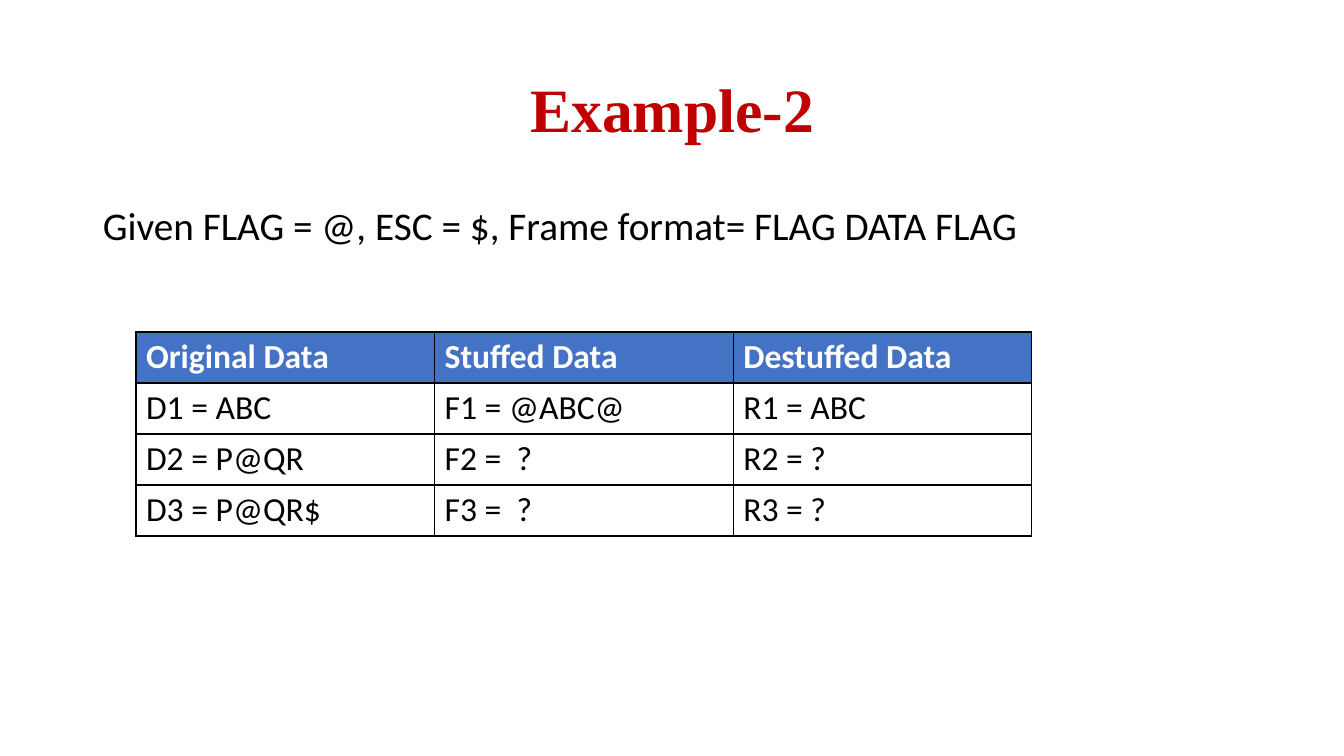
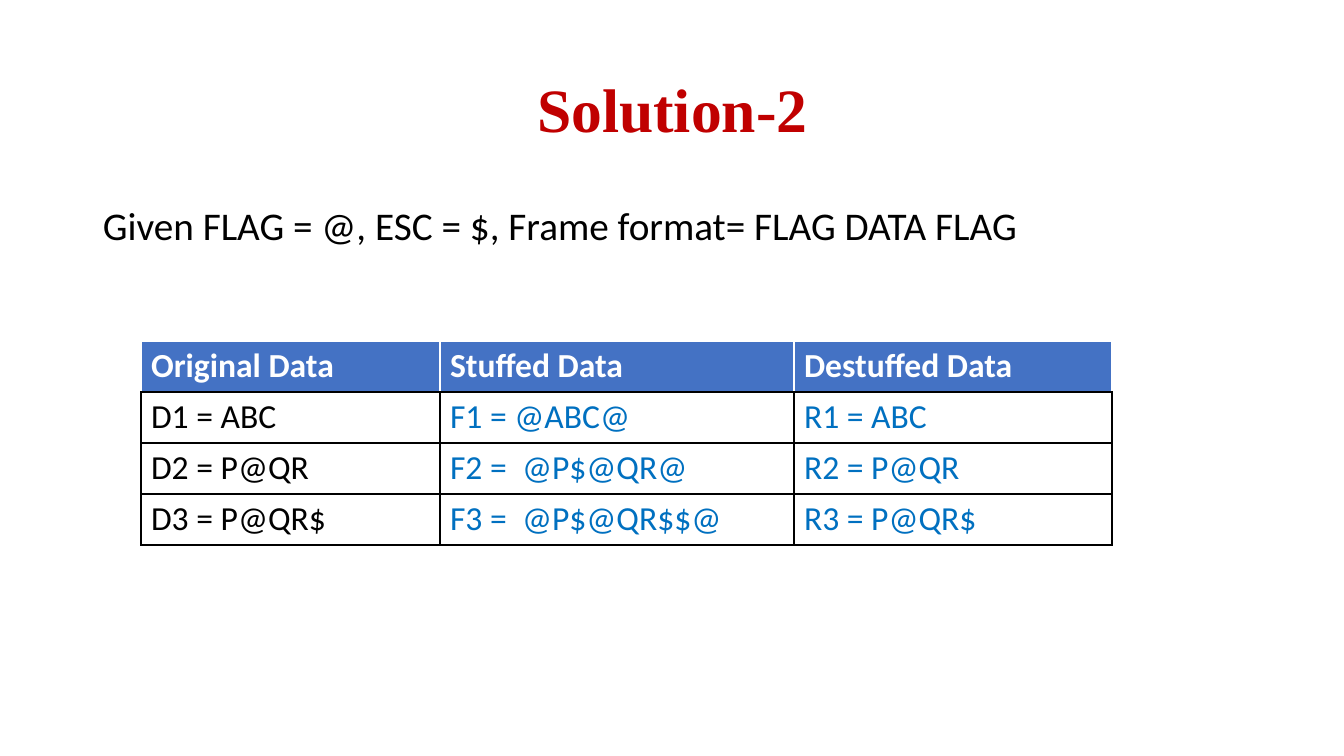
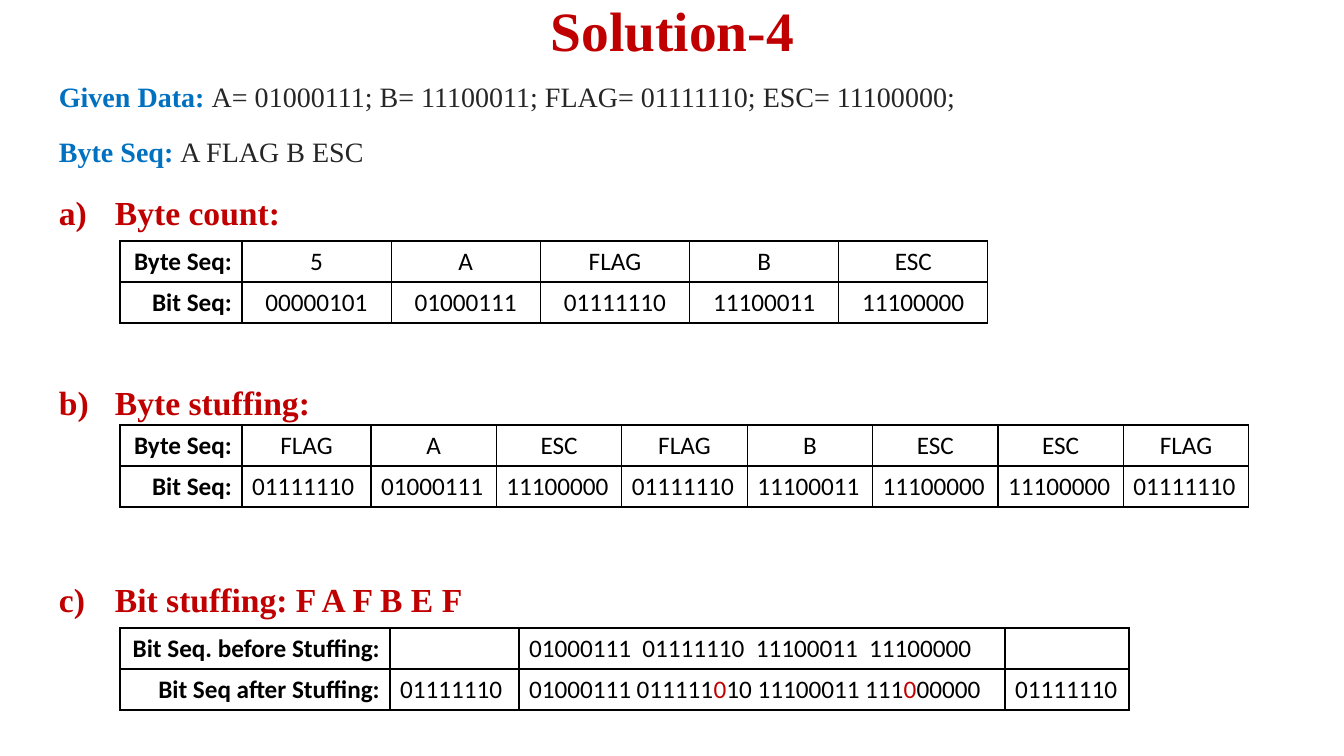
from pptx import Presentation
from pptx.dml.color import RGBColor
from pptx.enum.text import MSO_ANCHOR, MSO_AUTO_SIZE, PP_ALIGN
from pptx.oxml.ns import qn
from pptx.util import Pt
from lxml import etree

LEFT, MID, RIGHT = PP_ALIGN.LEFT, PP_ALIGN.CENTER, PP_ALIGN.RIGHT
MIDDLE = MSO_ANCHOR.MIDDLE
FIXED = MSO_AUTO_SIZE.NONE
RED = RGBColor(0xC0, 0x00, 0x00)
BLUE = RGBColor(0x00, 0x70, 0xC0)
HEAD = RGBColor(0x44, 0x72, 0xC4)
GRAY = RGBColor(0x26, 0x26, 0x26)
BLACK = RGBColor(0, 0, 0)
WHITE = RGBColor(255, 255, 255)
SERIF, SANS = "Times New Roman", "Calibri"
PX = 914400 / 100.8

GIVEN = "Given FLAG = @, ESC = $, Frame format= FLAG DATA FLAG"
NAMES = ["Original Data", "Stuffed Data", "Destuffed Data"]

PAIRS = [
    dict(title="Example-2", at=(136, 332), lead=[], width=896,
         ink=BLACK, edge=BLACK,
         rows=[["D1 = ABC", "F1 = @ABC@", "R1 = ABC"],
               ["D2 = P@QR", "F2 =  ?", "R2 = ?"],
               ["D3 = P@QR$", "F3 =  ?", "R3 = ?"]]),
    dict(title="Solution-2", at=(141, 341), lead=[299, 354], width=971,
         ink=BLUE, edge=WHITE,
         rows=[["D1 = ABC", "F1 = @ABC@", "R1 = ABC"],
               ["D2 = P@QR", "F2 =  @P$@QR@", "R2 = P@QR"],
               ["D3 = P@QR$", "F3 =  @P$@QR$$@", "R3 = P@QR$"]]),
]

FACTS = [
    ("Given Data: ", "A= 01000111; B= 11100011; FLAG= 01111110; ESC= 11100000;"),
    ("Byte Seq: ", "A FLAG B ESC"),
]

STUFFED = [("01000111 011111", {}), ("0", dict(color=RED)), ("10 11100011 111", {}),
           ("0", dict(color=RED)), ("00000", {})]

PARTS = [
    dict(head="Byte count:", y=192, top=241, lead=[122], width=868,
         align=[MID, MID],
         rows=[["Byte Seq:", "5", "A", "FLAG", "B", "ESC"],
               ["Bit Seq:", "00000101", "01000111", "01111110", "11100011", "11100000"]]),
    dict(head="Byte stuffing:", y=382, top=425, lead=[122, 129], width=1129,
         align=[MID, LEFT],
         rows=[["Byte Seq:", "FLAG", "A", "ESC", "FLAG", "B", "ESC", "ESC", "FLAG"],
               ["Bit Seq:", "01111110", "01000111", "11100000", "01111110", "11100011",
                "11100000", "11100000", "01111110"]]),
    dict(head="Bit stuffing: F A F B E F", y=579, top=628, lead=[270, 129, 486],
         width=1009, align=[LEFT, LEFT],
         rows=[["Bit Seq. before Stuffing:", "",
                "01000111  01111110  11100011  11100000", ""],
               ["Bit Seq after Stuffing:", "01111110", STUFFED, "01111110"]]),
]


def px(n):
    return round(n * PX)


def write(para, text, size=18, face=SANS, color=BLACK, bold=False, align=LEFT,
          line=None, before=0, after=0):
    para.alignment = align
    if line:
        para.line_spacing = line
    para.space_before, para.space_after = Pt(before), Pt(after)
    for part, own in ([(text, {})] if isinstance(text, str) else text):
        run = para.add_run()
        run.text = part
        font = run.font
        font.name, font.size = face, Pt(size)
        font.bold = own.get("bold", bold)
        font.color.rgb = own.get("color", color)


def number(para, start):
    props = para._p.get_or_add_pPr()
    props.set("marL", str(px(56)))
    props.set("indent", str(px(-56)))
    etree.SubElement(props, qn("a:buFont"), typeface="+mj-lt")
    etree.SubElement(props, qn("a:buAutoNum"), type="alphaLcParenR", startAt=str(start))


def place(shape, x, y, w, h):
    shape.left, shape.top, shape.width, shape.height = map(px, (x, y, w, h))


def start(deck, title, y=40, h=146, size=44):
    slide = deck.slides.add_slide(deck.slide_layouts[5])
    shape = slide.shapes.title
    place(shape, 93, y, 1159, h)
    frame = shape.text_frame
    frame.auto_size, frame.vertical_anchor = FIXED, MIDDLE
    write(frame.paragraphs[0], title, size=size, face=SERIF, color=RED, bold=True,
          align=MID, line=0.9)
    return slide


def add_box(slide, x, y, w, h):
    frame = slide.shapes.add_textbox(*map(px, (x, y, w, h))).text_frame
    frame.word_wrap = True
    return frame


def border(cell, edges):
    props = cell._tc.get_or_add_tcPr()
    for i, (side, color) in enumerate(zip("LRTB", edges)):
        line = etree.Element(qn("a:ln" + side), w=str(Pt(1)))
        fill = etree.SubElement(line, qn("a:solidFill"))
        etree.SubElement(fill, qn("a:srgbClr"), val=str(color))
        props.insert(i, line)


def add_grid(slide, x, y, rows, lead, width, high, style):
    count = len(rows[0])
    each = (width - sum(lead)) / (count - len(lead))
    wide = lead + [each] * (count - len(lead))
    frame = slide.shapes.add_table(len(rows), count, px(x), px(y), px(width),
                                   px(high * len(rows)))
    table = frame.table
    table.first_row = table.horz_banding = False
    for col, w in zip(table.columns, wide):
        col.width = px(w)
    for r, row in enumerate(rows):
        table.rows[r].height = px(high)
        for c, text in enumerate(row):
            cell = table.cell(r, c)
            fill, edge, form = style(r, c)
            cell.fill.solid()
            cell.fill.fore_color.rgb = fill
            border(cell, [edge] * 3 + [BLACK])
            if text:
                write(cell.text_frame.paragraphs[0], text, **form)


def add_pair(deck, item):
    def style(r, c):
        if r == 0:
            return HEAD, item["edge"], dict(size=24, color=WHITE, bold=True)
        return WHITE, BLACK, dict(size=24, color=item["ink"] if c else BLACK)

    slide = start(deck, item["title"])
    frame = add_box(slide, 93, 202, 1159, 60)
    write(frame.paragraphs[0], GIVEN, size=28, line=0.9)
    add_grid(slide, *item["at"], [NAMES] + item["rows"], item["lead"], item["width"],
             51, style)


def add_part(slide, i, part):
    def style(r, c):
        form = dict(align=part["align"][r]) if c else dict(align=RIGHT, bold=True)
        return WHITE, BLACK, form

    para = add_box(slide, 49, part["y"] - 5, 1159, 48).paragraphs[0]
    number(para, i)
    write(para, part["head"], size=24, face=SERIF, color=RED, bold=True)
    add_grid(slide, 120, part["top"], part["rows"], part["lead"], part["width"], 41, style)


def main():
    deck = Presentation()
    deck.slide_width, deck.slide_height = px(1344), px(756)
    for item in PAIRS:
        add_pair(deck, item)
    slide = start(deck, "Solution-4", y=0, h=68, size=39.6)
    frame = add_box(slide, 49, 78, 1159, 100)
    for i, (label, text) in enumerate(FACTS):
        para = frame.add_paragraph() if i else frame.paragraphs[0]
        write(para, [(label, dict(color=BLUE, bold=True)), (text, {})], size=20,
              face=SERIF, color=GRAY, line=0.9, before=10 if i else 0, after=8)
    for i, part in enumerate(PARTS, 1):
        add_part(slide, i, part)
    deck.save("out.pptx")


if __name__ == "__main__":
    main()
